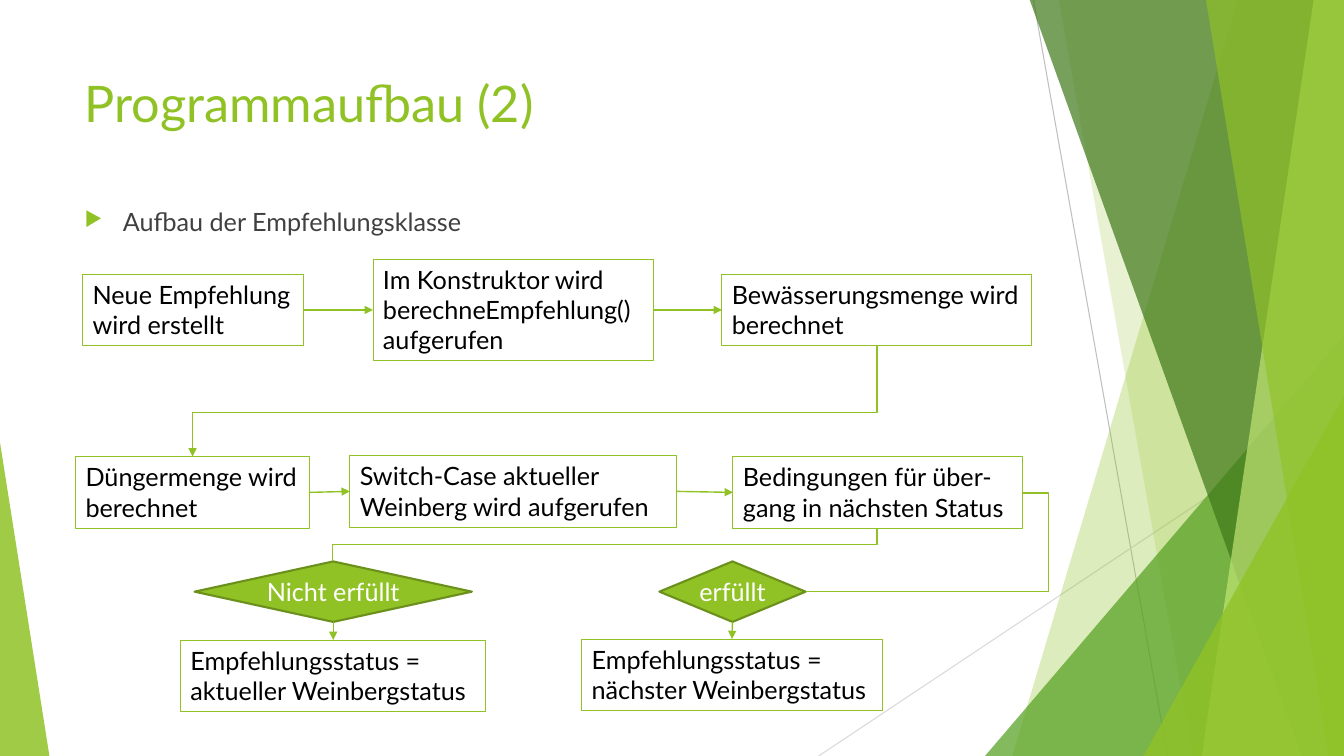
import pptx
import pptx.dml.color
import pptx.enum.shapes
import pptx.enum.text
import pptx.oxml
import pptx.oxml.ns
import pptx.util
from dataclasses import dataclass

Inches = pptx.util.Inches
Pt = pptx.util.Pt
Shape = pptx.enum.shapes.MSO_SHAPE
Link = pptx.enum.shapes.MSO_CONNECTOR
Align = pptx.enum.text.PP_ALIGN
Anchor = pptx.enum.text.MSO_ANCHOR
Fit = pptx.enum.text.MSO_AUTO_SIZE
rgb = pptx.dml.color.RGBColor.from_string
qn = pptx.oxml.ns.qn
NS = pptx.oxml.ns.nsdecls("a")


@dataclass(frozen=True)
class Theme:
    font: str = "Lato"
    title_size: float = 36
    body_size: float = 18
    green: str = "90C226"
    edge: str = "6B901C"
    leaf: str = "54A021"
    forest: str = "3F7819"
    lime: str = "C0E474"
    body: str = "404040"
    black: str = "000000"
    white: str = "FFFFFF"
    line_dark: str = "BFBFBF"
    line_light: str = "D9D9D9"


theme = Theme()


def write(box, lines, size, color, align=Align.LEFT):
    """Fill a shape with one paragraph per line."""
    frame = box.text_frame
    for number, line in enumerate(lines):
        para = frame.add_paragraph() if number else frame.paragraphs[0]
        para.alignment = align
        span = para.add_run()
        span.text = line
        span.font.name = theme.font
        span.font.size = Pt(size)
        span.font.color.rgb = rgb(color)
    return frame


def connect(kind, start, end, color, width, arrow=False):
    """Draw a connector between two points given in inches."""
    line = page.shapes.add_connector(kind, *map(Inches, start + end))
    line.line.color.rgb = rgb(color)
    line.line.width = Pt(width)
    if arrow:
        line.line._get_or_add_ln().append(
            pptx.oxml.parse_xml(f'<a:tailEnd {NS} type="triangle"/>'))
    line._element.spPr.append(pptx.oxml.parse_xml(f"<a:effectLst {NS}/>"))
    return line


deck = pptx.Presentation()
deck.slide_width, deck.slide_height = Inches(13.33), Inches(7.5)
page = deck.slides.add_slide(deck.slide_layouts[6])

# Backdrop: thin lines
connect(Link.STRAIGHT, (10.25, 0), (11.58, 7.5), theme.line_dark, 0.75)
connect(Link.STRAIGHT, (13.33, 4.03), (8.12, 7.5), theme.line_light, 0.75)

# Backdrop: bands (top and bottom x of the slanted edge, reaching the right side)
# and triangles (left, top, width, height, apex), with colour and opacity
facets = [
    ((12.28, 10.04), theme.green, 30),
    ((10.5, 11.83), theme.green, 20),
    ((9.77, 3.33, 3.56, 4.17, 1), theme.leaf, 72),
    ((10.21, 12.91), theme.forest, 70),
    ((13.03, 11.92), theme.lime, 70),
    ((11.96, 13.18), theme.green, 65),
    ((11.34, 3.93, 1.99, 3.57, 1), theme.green, 80),
    ((0, 4.39, 0.49, 3.11, 0), theme.green, 85),
]
for geometry, color, opacity in facets:
    if len(geometry) == 2:
        top_x, bottom_x = geometry
        outline = page.shapes.build_freeform(Inches(top_x), Inches(-0.01))
        corners = [(13.33, -0.01), (13.33, 7.5), (bottom_x, 7.5)]
        outline.add_line_segments([(Inches(x), Inches(y)) for x, y in corners])
        facet = outline.convert_to_shape()
    else:
        *place, apex = geometry
        facet = page.shapes.add_shape(Shape.ISOSCELES_TRIANGLE, *map(Inches, place))
        facet.adjustments[0] = apex
    facet.shadow.inherit = False
    facet.line.fill.background()
    facet.fill.solid()
    facet.fill.fore_color.rgb = rgb(color)
    tint = facet._element.spPr.find(qn("a:solidFill"))[0]
    tint.append(pptx.oxml.parse_xml(f'<a:alpha {NS} val="{opacity * 1000}"/>'))

# Title
title = page.shapes.add_textbox(*map(Inches, (0.74, 0.67, 4.88, 1.44)))
write(title, ["Programmaufbau (2)"], theme.title_size, theme.green).word_wrap = True

# Process boxes
steps = {
    "new": (0.82, 2.72, 2.19, 0.71, ["Neue Empfehlung", "wird erstellt"]),
    "constructor": (3.7, 2.57, 2.78, 1.01,
                    ["Im Konstruktor wird", "berechneEmpfehlung()", "aufgerufen"]),
    "water": (7.16, 2.72, 3.07, 0.71, ["Bewässerungsmenge wird", "berechnet"]),
    "switch": (3.47, 4.52, 3.24, 0.71,
               ["Switch-Case aktueller", "Weinberg wird aufgerufen"]),
    "fertilizer": (0.75, 4.53, 2.32, 0.71, ["Düngermenge wird", "berechnet"]),
    "conditions": (7.27, 4.53, 2.87, 0.71,
                   ["Bedingungen für über-", "gang in nächsten Status"]),
    "next": (5.77, 6.34, 2.98, 0.71, ["Empfehlungsstatus =", "nächster Weinbergstatus"]),
    "current": (1.79, 6.35, 3.03, 0.71,
                ["Empfehlungsstatus =", "aktueller Weinbergstatus"]),
}
nodes = {}
for name, (*place, lines) in steps.items():
    box = page.shapes.add_textbox(*map(Inches, place))
    box.line.color.rgb = rgb(theme.green)
    box.line.width = Pt(0.75)
    frame = write(box, lines, theme.body_size, theme.black)
    frame.word_wrap = False
    frame.auto_size = Fit.SHAPE_TO_FIT_TEXT
    nodes[name] = box

# Decision diamonds
decisions = {
    "met": (6.54, 1.45, "erfüllt"),
    "unmet": (1.93, 2.75, "Nicht erfüllt"),
}
for name, (left, width, label) in decisions.items():
    diamond = page.shapes.add_shape(
        Shape.DIAMOND, Inches(left), Inches(5.57), Inches(width), Inches(0.6))
    diamond.shadow.inherit = False
    diamond.fill.solid()
    diamond.fill.fore_color.rgb = rgb(theme.green)
    diamond.line.color.rgb = rgb(theme.edge)
    diamond.line.width = Pt(1.5)
    frame = write(diamond, [label], theme.body_size, theme.white, Align.CENTER)
    frame.margin_left = frame.margin_right = frame.margin_top = frame.margin_bottom = 0
    frame.vertical_anchor = Anchor.MIDDLE
    frame.word_wrap = False
    nodes[name] = diamond

# Straight arrows, glued to sites: 0 top, 1 left, 2 bottom, 3 right
arrows = [
    ("new", 3, "constructor", 1),
    ("constructor", 3, "water", 1),
    ("fertilizer", 3, "switch", 1),
    ("switch", 3, "conditions", 1),
    ("unmet", 2, "current", 0),
    ("met", 2, "next", 0),
]
for source, source_site, target, target_site in arrows:
    arrow = connect(Link.STRAIGHT, (0, 0), (1, 1), theme.green, 1, arrow=True)
    arrow.begin_connect(nodes[source], source_site)
    arrow.end_connect(nodes[target], target_site)

# Elbows running down, left, down: a quarter turn about their centre
elbows = [
    ((8.7, 3.43), (1.91, 4.53), 0.6, True),
    ((8.7, 5.24), (3.3, 5.57), 0.5, False),
]
bends = []
for (x1, y1), (x2, y2), bend, arrow in elbows:
    middle_x, middle_y = (x1 + x2) / 2, (y1 + y2) / 2
    half_x, half_y = (x1 - x2) / 2, (y2 - y1) / 2
    elbow = connect(Link.ELBOW, (middle_x - half_y, middle_y - half_x),
                    (middle_x + half_y, middle_y + half_x), theme.green, 1, arrow)
    elbow._element.spPr.find(qn("a:xfrm")).set("rot", str(90 * 60000))
    bends.append((elbow, bend))

# Elbow looping round the right side
bends.append((connect(Link.ELBOW, (10.14, 4.89), (7.99, 5.87), theme.green, 1), -0.12))
for elbow, bend in bends:
    guides = elbow._element.spPr.find(qn("a:prstGeom")).get_or_add_avLst()
    guides.append(pptx.oxml.parse_xml(
        f'<a:gd {NS} name="adj1" fmla="val {round(bend * 100000)}"/>'))

# Bullet line
bullet = page.shapes.add_textbox(*map(Inches, (0.74, 2, 4.26, 0.46)))
frame = write(bullet, ["Aufbau der Empfehlungsklasse"], theme.body_size, theme.body)
frame.word_wrap = True
frame.paragraphs[0].space_before = Pt(10)
settings = frame.paragraphs[0]._p.get_or_add_pPr()
settings.set("marL", str(Inches(0.38)))
settings.set("indent", str(Inches(-0.38)))
for markup in (f'<a:buClr {NS}><a:srgbClr val="{theme.green}"/></a:buClr>',
               f'<a:buSzPct {NS} val="80000"/>',
               f'<a:buChar {NS} char="▶"/>'):
    settings.append(pptx.oxml.parse_xml(markup))

deck.save("out.pptx")
